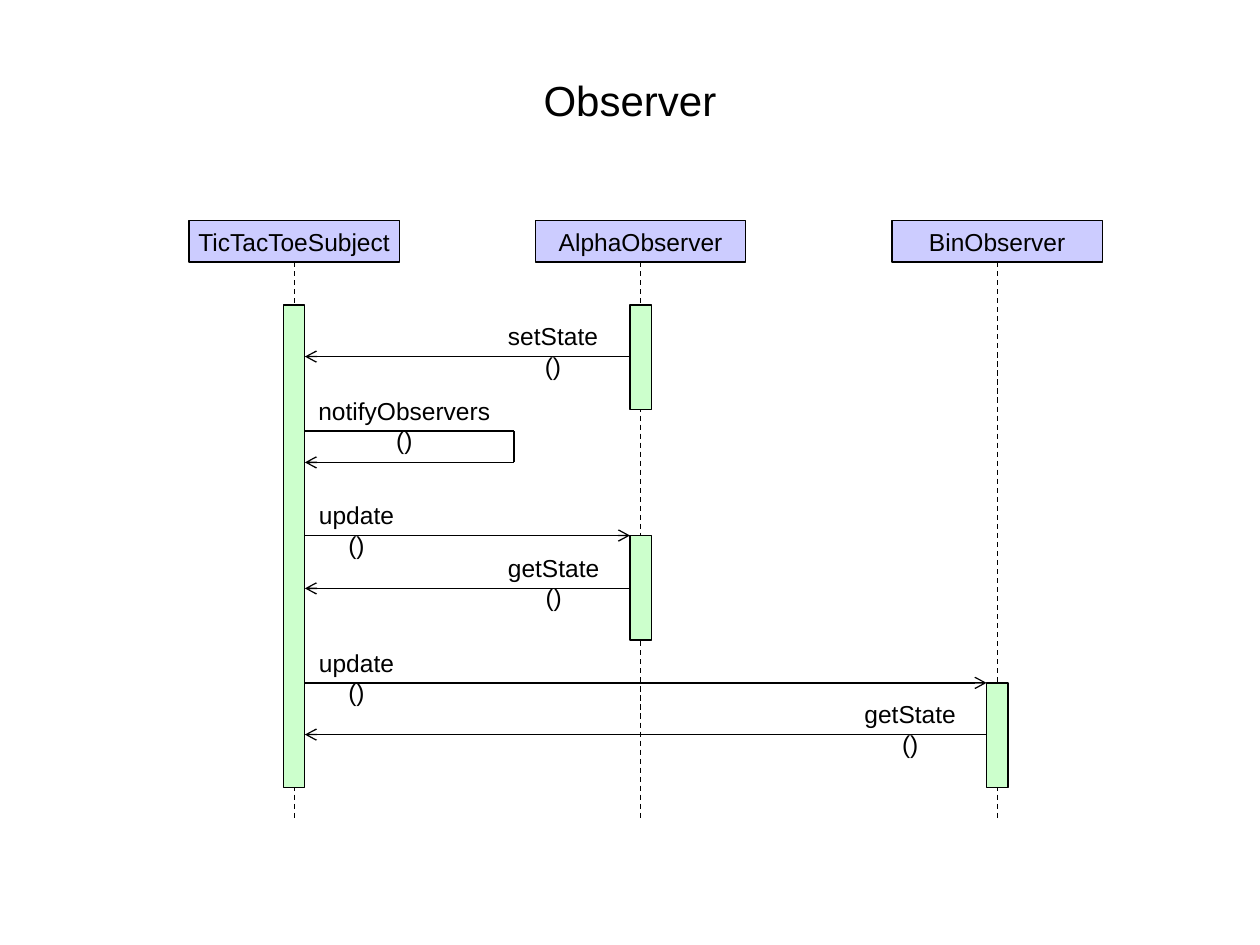
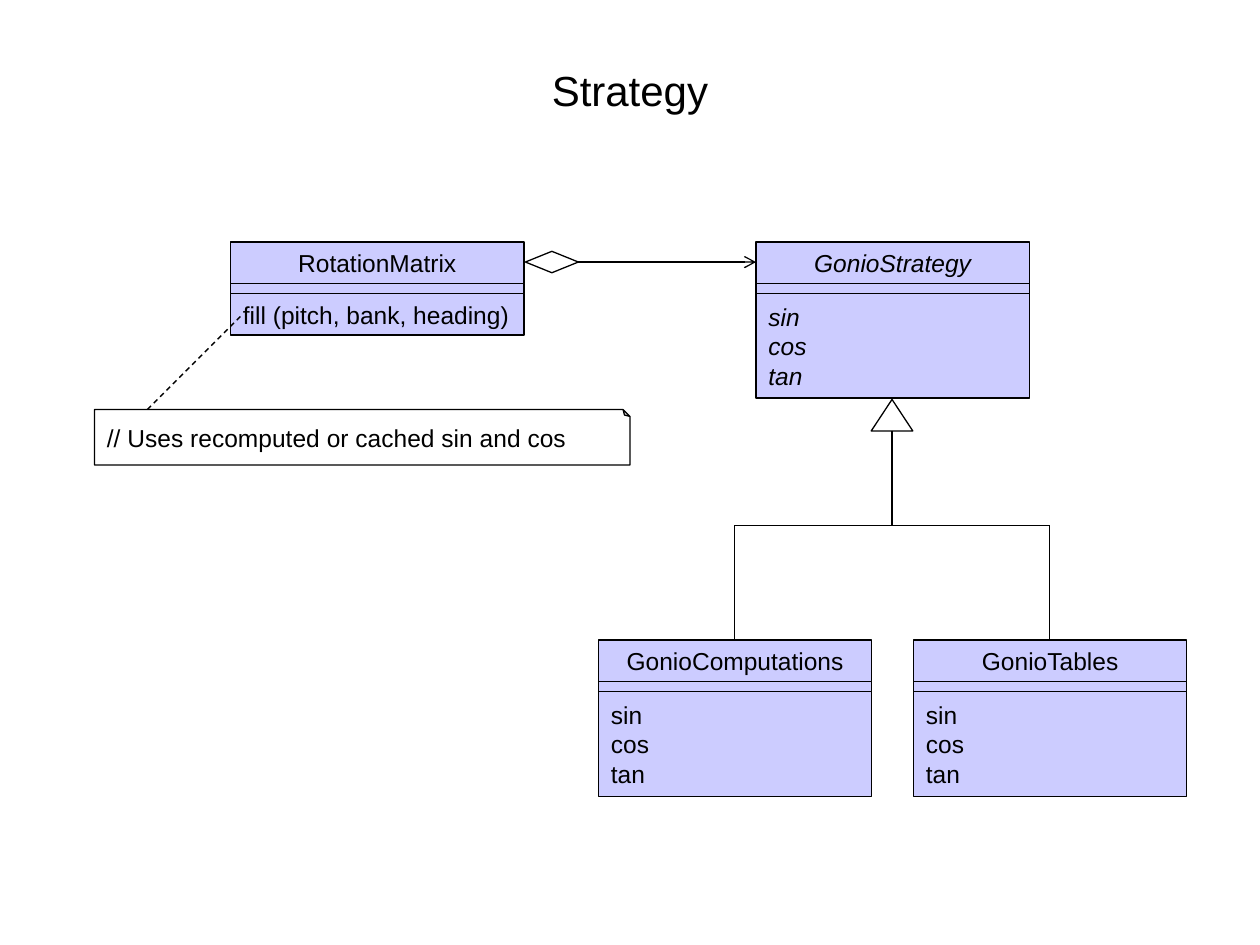
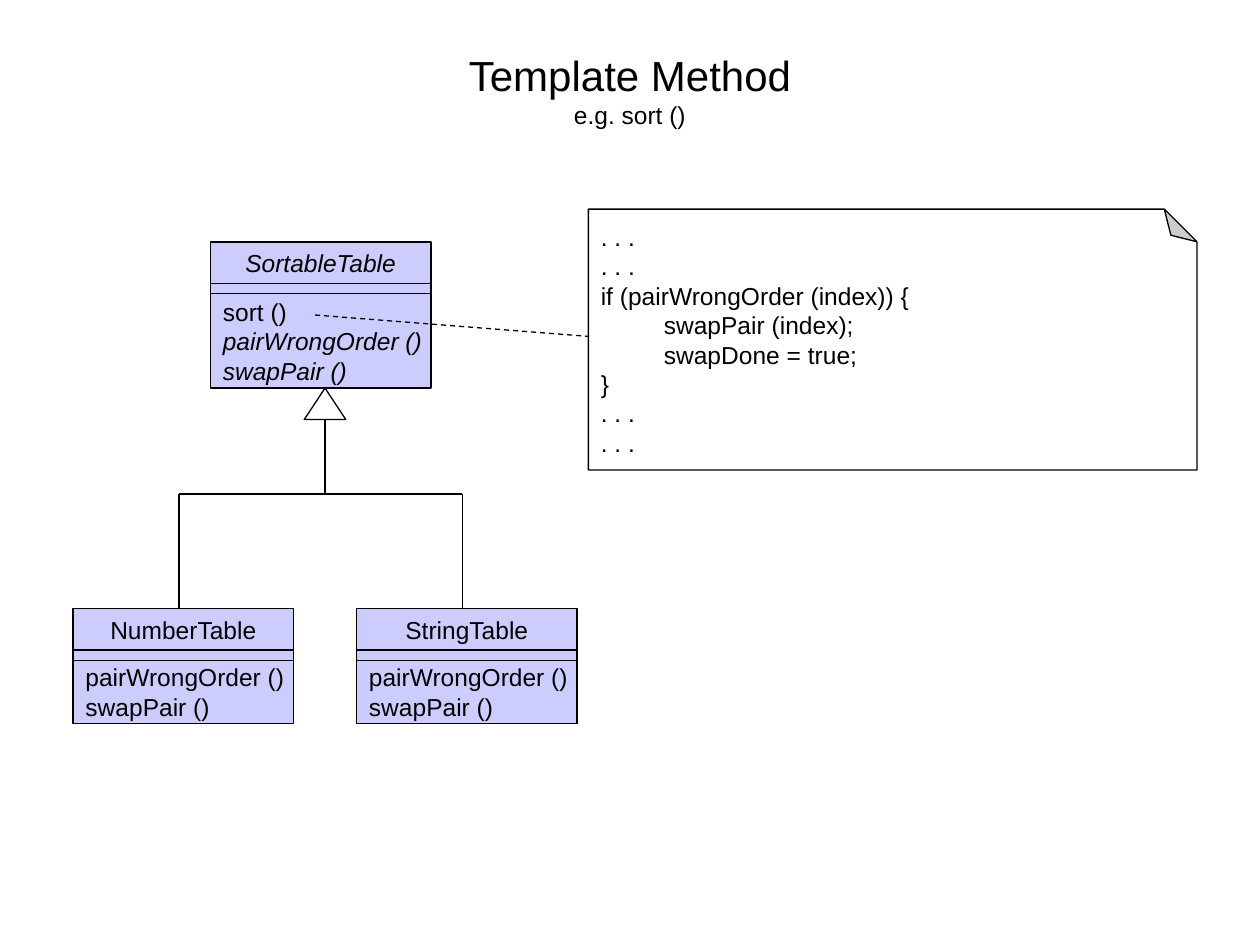
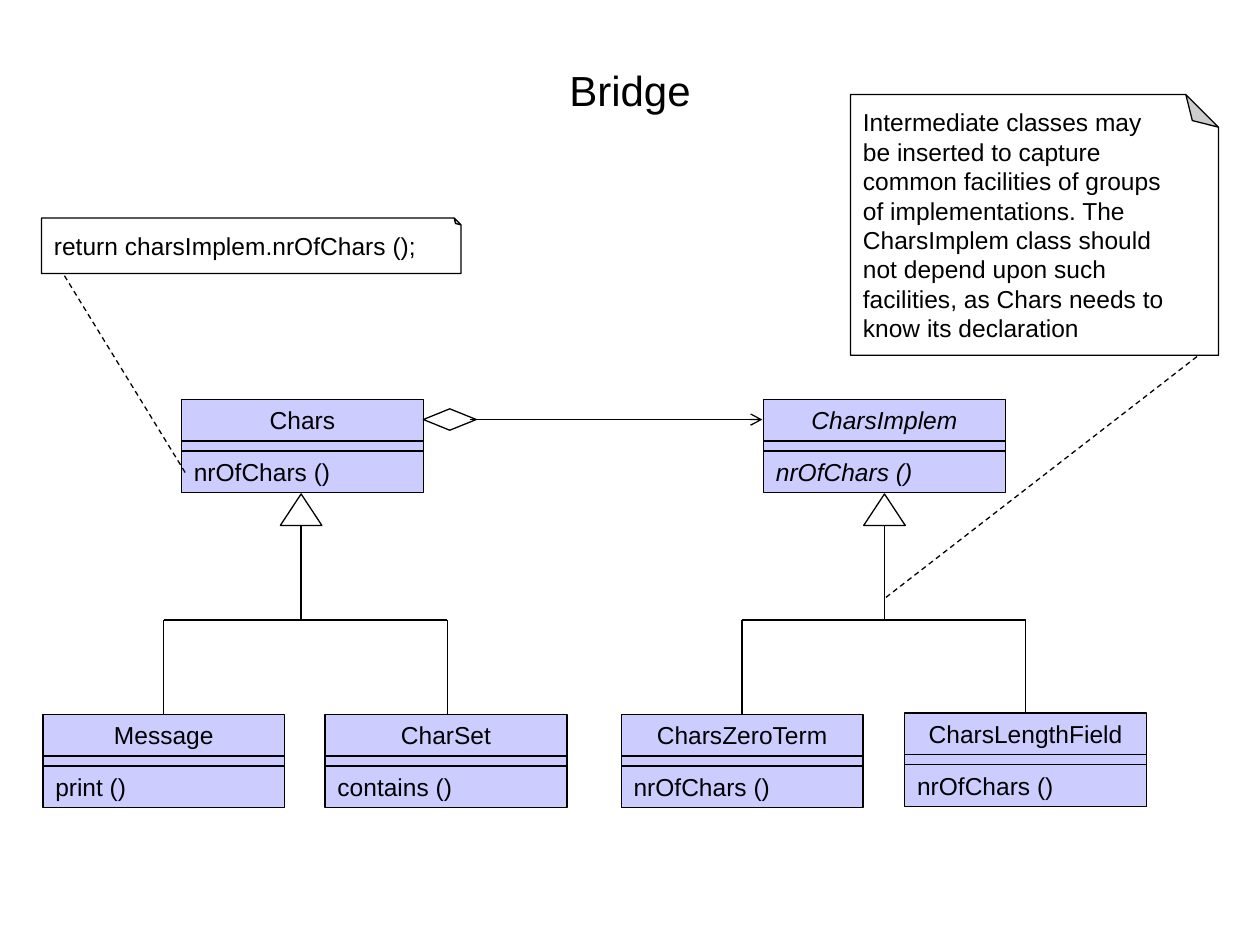
"""Four slides of UML diagrams for design patterns."""
from dataclasses import dataclass

from lxml import etree
from pptx import Presentation
from pptx.dml.color import RGBColor
from pptx.enum import dml, shapes, text
from pptx.oxml import ns
from pptx.util import Inches, Pt


@dataclass(frozen=True)
class Theme:
    """Colours, type and line sizes shared by all slides."""
    font: str = "Arial"
    title_size: int = 24
    text_size: int = 14
    line_width: float = 0.75
    ink: str = "000000"
    paper: str = "FFFFFF"
    class_fill: str = "CCCCFF"
    active_fill: str = "CCFFCC"


THEME = Theme()
SHAPE = shapes.MSO_SHAPE
LEFT, CENTER = text.PP_ALIGN.LEFT, text.PP_ALIGN.CENTER
HEAD, GAP = 0.33, 0.08                 # class name band, empty attribute band
BAR, BAR_OFFSET = 0.17, 0.75           # activation bar on a lifeline
LIFE_WIDTH, LIFE_TOP, LIFE_END = 1.67, 1.75, 6.5
TRIANGLE_WIDTH, TRIANGLE_HEIGHT = 0.33, 0.25
DIAMOND_WIDTH, DIAMOND_HEIGHT = 0.42, 0.17

# ---------------------------------------------------------------- content
SEQUENCE = {
    "title": ("Observer", 0.33),
    # name, left
    "lifelines": [("TicTacToeSubject", 1.5), ("AlphaObserver", 4.25), ("BinObserver", 7.08)],
    # lifeline, top, height
    "activations": [(0, 2.42, 3.83), (1, 2.42, 0.83), (1, 4.25, 0.83), (2, 5.42, 0.83)],
    # sender, receiver, height on the page, label, label width
    "messages": [
        (1, 0, 2.83, "setState ()", 1.1),
        (0, 0, 3.42, "notifyObservers ()", 1.74),
        (0, 1, 4.25, "update ()", 0.98),
        (1, 0, 4.67, "getState ()", 1.11),
        (0, 2, 5.42, "update ()", 0.98),
        (2, 0, 5.83, "getState ()", 1.11),
    ],
}

TRIG = ["sin", "cos", "tan"]
PAIR = ["pairWrongOrder ()", "swapPair ()"]
COUNT = ["nrOfChars ()"]

# classes: name, left, top, width, operations, their height, abstract names
# notes: lines, left, top, width, height
# trees: apex x, apex y, crossbar y, child x positions, child top
# aggregations: diamond left, middle y, line start, line end
# note_lines: start, end
CLASS_DIAGRAMS = [
    {
        "title": ("Strategy", 0.25),
        "classes": [
            ("RotationMatrix", 1.83, 1.92, 2.33, ["fill (pitch, bank, heading)"], 0.33, []),
            ("GonioStrategy", 6, 1.92, 2.17, TRIG, 0.83, ["GonioStrategy"] + TRIG),
            ("GonioComputations", 4.75, 5.08, 2.17, TRIG, 0.83, []),
            ("GonioTables", 7.25, 5.08, 2.17, TRIG, 0.83, []),
        ],
        "notes": [(["// Uses recomputed or cached sin and cos"], 0.75, 3.25, 4.25, 0.44)],
        "trees": [(7.08, 3.17, 4.17, [5.83, 8.33], 5.08)],
        "aggregations": [(4.17, 2.08, 4.58, 6)],
        "note_lines": [((1.17, 3.25), (1.92, 2.5))],
    },
    {
        "title": ("Template Method\ve.g. sort ()", 0.25),
        "classes": [
            ("SortableTable", 1.67, 1.92, 1.75, ["sort ()"] + PAIR, 0.75, ["SortableTable"] + PAIR),
            ("NumberTable", 0.58, 4.83, 1.75, PAIR, 0.5, []),
            ("StringTable", 2.83, 4.83, 1.75, PAIR, 0.5, []),
        ],
        "notes": [([". . .", ". . .", "if (pairWrongOrder (index)) {", "\tswapPair (index);",
                    "\tswapDone = true;", "}", ". . .", ". . ."], 4.67, 1.66, 4.83, 2.07)],
        "trees": [(2.58, 3.08, 3.92, [1.42, 3.67], 4.83)],
        "aggregations": [],
        "note_lines": [((2.5, 2.5), (4.67, 2.67))],
    },
    {
        "title": ("Bridge", 0.25),
        "classes": [
            ("Chars", 1.44, 3.17, 1.92, COUNT, 0.33, []),
            ("CharsImplem", 6.06, 3.17, 1.92, COUNT, 0.33, ["CharsImplem"] + COUNT),
            ("Message", 0.34, 5.67, 1.92, ["print ()"], 0.33, []),
            ("CharSet", 2.58, 5.67, 1.92, ["contains ()"], 0.33, []),
            ("CharsZeroTerm", 4.93, 5.67, 1.92, COUNT, 0.33, []),
            ("CharsLengthField", 7.18, 5.66, 1.92, COUNT, 0.33, []),
        ],
        "notes": [
            (["return charsImplem.nrOfChars ();"], 0.33, 1.73, 3.33, 0.44),
            (["Intermediate classes may be inserted to capture common facilities of groups "
              "of implementations. The CharsImplem class should not depend upon such "
              "facilities, as Chars needs to know its declaration"], 6.75, 0.75, 2.92, 2.07),
        ],
        "trees": [(2.39, 3.92, 4.92, [1.3, 3.55], 5.67), (7.02, 3.92, 4.92, [5.89, 8.14], 5.67)],
        "aggregations": [(3.36, 3.33, 3.73, 6.05)],
        "note_lines": [((1.47, 3.75), (0.5, 2.17)), ((9.5, 2.83), (7.02, 4.75))],
    },
]


# ---------------------------------------------------------------- helpers
def colour(code):
    """Turn a hex code into a colour."""
    return RGBColor.from_string(code)


def write(box, lines, align=LEFT, size=THEME.text_size, italic=(), wrap=False,
          anchor=text.MSO_ANCHOR.MIDDLE):
    """Put lines into a box; those named in italic are slanted."""
    frame = box.text_frame
    frame.text = "\n".join(lines)
    frame.word_wrap = wrap
    frame.vertical_anchor = anchor
    for para in frame.paragraphs:
        para.alignment = align
        for span in para.runs:
            span.font.name = THEME.font
            span.font.size = Pt(size)
            span.font.color.rgb = colour(THEME.ink)
            span.font.italic = span.text in italic


def add_box(page, kind, left, top, width, height, fill=None):
    """Add an outlined preset shape, hollow unless a fill is given."""
    box = page.shapes.add_shape(kind, *map(Inches, (left, top, width, height)))
    box.shadow.inherit = False
    box.line.color.rgb = colour(THEME.ink)
    box.line.width = Pt(THEME.line_width)
    if fill:
        box.fill.solid()
        box.fill.fore_color.rgb = colour(fill)
    else:
        box.fill.background()
    return box


def add_line(page, start, end, dashed=False, arrow=False):
    """Add a straight line, optionally dashed or with an open arrow at its end."""
    line = page.shapes.add_connector(shapes.MSO_CONNECTOR.STRAIGHT,
                                     *map(Inches, (*start, *end)))
    line.line.color.rgb = colour(THEME.ink)
    line.line.width = Pt(THEME.line_width)
    if dashed:
        line.line.dash_style = dml.MSO_LINE.DASH
    properties = line._element.spPr
    if arrow:
        etree.SubElement(properties.find(ns.qn("a:ln")), ns.qn("a:tailEnd"), type="arrow")
    etree.SubElement(properties, ns.qn("a:effectLst"))


def add_page(deck, title, top):
    """Add a slide with its title; a second title line is in text size."""
    page = deck.slides.add_slide(deck.slide_layouts[6])
    box = page.shapes.add_textbox(*map(Inches, (0.75, top, 8.5, 0.92)))
    write(box, [title], CENTER, THEME.title_size, wrap=True)
    for span in box.text_frame.paragraphs[0].runs[1:]:
        span.font.size = Pt(THEME.text_size)
    return page


# ---------------------------------------------------------------- sequence diagram
def add_message(page, start, end, label, label_width):
    """Add a labelled arrow between bars; the label breaks before its brackets."""
    (from_x, y), (to_x, _) = start, end
    if from_x == to_x:
        corner, back = (from_x + 1.66, y), (from_x + 1.66, y + 0.25)
        add_line(page, start, corner)
        add_line(page, corner, back)
        add_line(page, back, (to_x, y + 0.25), arrow=True)
    else:
        add_line(page, start, end, arrow=True)
    left = from_x if to_x >= from_x else from_x - 1.08
    box = page.shapes.add_textbox(*map(Inches, (left, y - 0.33, label_width, 0.33)))
    write(box, [label], CENTER, wrap=True, anchor=text.MSO_ANCHOR.TOP)
    box.text_frame.margin_right = Inches(0.26)


def draw_sequence(deck, content):
    """Draw lifelines, activation bars and messages."""
    page = add_page(deck, *content["title"])
    bars = []
    for name, left in content["lifelines"]:
        box = add_box(page, SHAPE.RECTANGLE, left, LIFE_TOP, LIFE_WIDTH, HEAD, THEME.class_fill)
        write(box, [name], CENTER)
        middle = left + LIFE_WIDTH / 2
        add_line(page, (middle, LIFE_TOP + HEAD), (middle, LIFE_END), dashed=True)
        bars.append(left + BAR_OFFSET)
    for index, top, height in content["activations"]:
        add_box(page, SHAPE.RECTANGLE, bars[index], top, BAR, height, THEME.active_fill)
    for sender, receiver, y, label, width in content["messages"]:
        from_x = bars[sender] + (BAR if receiver >= sender else 0)
        to_x = bars[receiver] + (BAR if receiver <= sender else 0)
        add_message(page, (from_x, y), (to_x, y), label, width)


# ---------------------------------------------------------------- class diagrams
def add_class(page, name, left, top, width, operations, height, abstract):
    """Add a class: name band, empty band and operations."""
    bands = [(HEAD, [name], CENTER), (GAP, [], LEFT), (height, operations, LEFT)]
    for band_height, lines, align in bands:
        box = add_box(page, SHAPE.RECTANGLE, left, top, width, band_height, THEME.class_fill)
        if lines:
            write(box, lines, align, italic=abstract)
        top += band_height


def add_note(page, lines, left, top, width, height):
    """Add a note, turned so that its folded corner is at the top right."""
    turned_left = left + (width - height) / 2
    turned_top = top + (height - width) / 2
    box = add_box(page, SHAPE.FOLDED_CORNER, turned_left, turned_top, height, width, THEME.paper)
    fold = box._element.spPr.find(ns.qn("a:prstGeom")).find(ns.qn("a:avLst"))
    etree.SubElement(fold, ns.qn("a:gd"), name="adj", fmla="val 12500")
    box.rotation = 270
    write(box, lines, wrap=True)
    box.text_frame._txBody.bodyPr.set("vert", "eaVert")


def add_tree(page, x, top, crossbar, children, child_top):
    """Add an inheritance triangle with lines to the children."""
    add_box(page, SHAPE.ISOSCELES_TRIANGLE, x - TRIANGLE_WIDTH / 2, top,
            TRIANGLE_WIDTH, TRIANGLE_HEIGHT)
    add_line(page, (x, top + TRIANGLE_HEIGHT), (x, crossbar))
    add_line(page, (children[0], crossbar), (children[-1], crossbar))
    for child in children:
        add_line(page, (child, crossbar), (child, child_top))


def add_aggregation(page, left, y, start, end):
    """Add a diamond and the arrow that leaves it."""
    add_line(page, (start, y), (end, y), arrow=True)
    add_box(page, SHAPE.DIAMOND, left, y - DIAMOND_HEIGHT / 2, DIAMOND_WIDTH, DIAMOND_HEIGHT)


def draw_classes(deck, content):
    """Draw one class diagram."""
    page = add_page(deck, *content["title"])
    for key, add in [("classes", add_class), ("notes", add_note),
                     ("trees", add_tree), ("aggregations", add_aggregation)]:
        for item in content[key]:
            add(page, *item)
    for start, end in content["note_lines"]:
        add_line(page, start, end, dashed=True)


deck = Presentation()
deck.slide_width, deck.slide_height = Inches(10), Inches(7.5)
draw_sequence(deck, SEQUENCE)
for diagram in CLASS_DIAGRAMS:
    draw_classes(deck, diagram)
deck.save("out.pptx")
